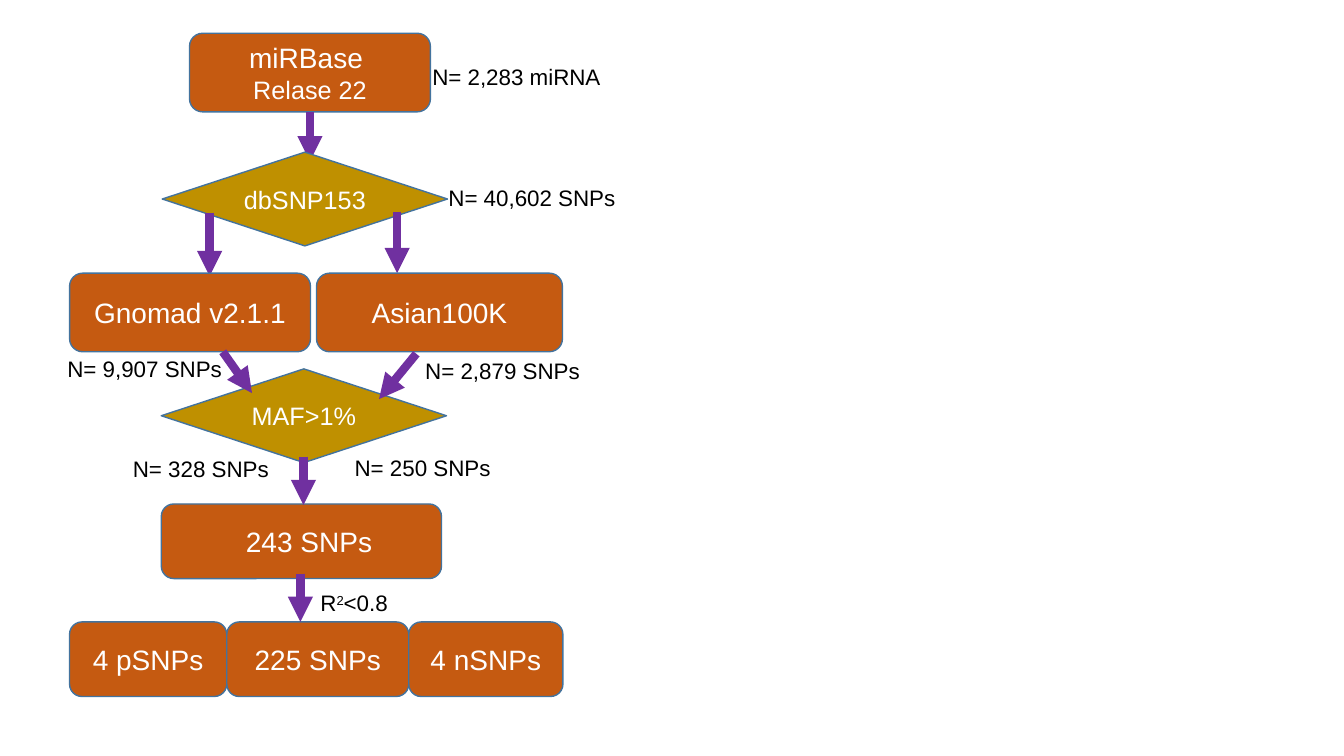
from pptx import Presentation
from pptx.dml.color import RGBColor
from pptx.enum.shapes import MSO_CONNECTOR, MSO_SHAPE
from pptx.enum.text import MSO_ANCHOR, MSO_AUTO_SIZE, PP_ALIGN
from pptx.oxml.ns import qn
from pptx.util import Inches, Pt
from lxml.etree import SubElement

CELL = Inches(0.1)
LEFT_COLUMN = 6.9
DATABASE_HEIGHT, RESULT_HEIGHT = 7.8, 7.4
DIAMOND_WIDTH, DIAMOND_HEIGHT = 28.3, 9.3
DATABASE_ROW, RESULT_ROW = 27.1, 61.7


def color(value):
    return RGBColor.from_string(value)


def cells(*counts):
    return [round(count * CELL) for count in counts]


presentation = Presentation()
presentation.slide_width, presentation.slide_height = cells(133.33, 75)
slide = presentation.slides.add_slide(presentation.slide_layouts[6])

styles = {
    "box": (MSO_SHAPE.ROUNDED_RECTANGLE, "C55A11", 20),
    "decision": (MSO_SHAPE.DIAMOND, "BF9000", 18),
}

flow = [
    ("box", "miRBase \nRelase 22", 18.8, 3.3, 23.9, DATABASE_HEIGHT),
    ("arrow", "miRBase \nRelase 22", 30.75, 11.1, 30.75, 16),
    ("decision", "dbSNP153", 16.1, 15.1, DIAMOND_WIDTH, DIAMOND_HEIGHT),
    ("arrow", "", 20.8, 21.1, 20.8, 27.4),
    ("arrow", "", 39.4, 21, 39.4, DATABASE_ROW),
    ("box", "Gnomad v2.1.1", LEFT_COLUMN, DATABASE_ROW, 23.9, DATABASE_HEIGHT),
    ("box", "Asian100K", 31.4, DATABASE_ROW, 24.4, DATABASE_HEIGHT),
    ("box", "243 SNPs", 16, 50, 27.8, RESULT_HEIGHT),
    ("decision", "MAF>1%", 16, 36.6, DIAMOND_WIDTH, DIAMOND_HEIGHT),
    ("arrow", "", 22.1, 34.9, 25, 39),
    ("arrow", "", 41.3, 35.1, 37.6, 39.6),
    ("arrow", "", 30.1, 45.3, 30.1, 50.1),
]
column = LEFT_COLUMN
for name, width in [("4 pSNPs", 15.6), ("225 SNPs", 18.05), ("4 nSNPs", 15.3)]:
    flow.append(("box", name, column, RESULT_ROW, width, RESULT_HEIGHT))
    column += width
flow.append(("arrow", "", 29.8, 56.9, 29.8, RESULT_ROW))

shapes = {}
for kind, name, *place in flow:
    if kind == "arrow":
        arrow = slide.shapes.add_connector(MSO_CONNECTOR.STRAIGHT, *cells(*place))
        if name:
            arrow.begin_connect(shapes[name], 2)
        arrow.line.color.rgb = color("7030A0")
        arrow.line.width = Pt(6)
        SubElement(arrow.line._get_or_add_ln(), qn("a:tailEnd"), type="triangle")
        SubElement(arrow._element.spPr, qn("a:effectLst"))
        continue
    preset, fill, size = styles[kind]
    shape = slide.shapes.add_shape(preset, *cells(*place))
    shapes[name] = shape
    shape.shadow.inherit = False
    shape.fill.solid()
    shape.fill.fore_color.rgb = color(fill)
    shape.line.color.rgb = color("43739E")
    shape.line.width = Pt(1)
    shape.text_frame.text = name
    shape.text_frame.vertical_anchor = MSO_ANCHOR.MIDDLE
    for paragraph in shape.text_frame.paragraphs:
        paragraph.alignment = PP_ALIGN.CENTER
        paragraph.font.name = "Arial"
        paragraph.font.size = Pt(size)
        paragraph.font.color.rgb = color("FFFFFF")

shapes["miRBase \nRelase 22"].text_frame.paragraphs[1].font.size = Pt(18)
shapes["243 SNPs"].text_frame.margin_left = Inches(0.25)

labels = [
    (["N= 2,283 miRNA"], 41.9, 5.8, 18.9),
    (["N= 328 SNPs"], 12.2, 44.7, 15.7),
    (["N= 250 SNPs"], 34.2, 44.6, 15.7),
    (["N= 40,602 SNPs"], 43.5, 17.8, 18.8),
    (["N= 9,907 SNPs"], 5.7, 34.7, 17.5),
    (["N= 2,879 SNPs"], 41.2, 34.9, 17.5),
    (["R", "2", "<0.8"], 30.8, 58, 8.9),
]
for parts, column, row, width in labels:
    label = slide.shapes.add_textbox(*cells(column, row, width, 3.7))
    label.text_frame.word_wrap = False
    label.text_frame.auto_size = MSO_AUTO_SIZE.SHAPE_TO_FIT_TEXT
    paragraph = label.text_frame.paragraphs[0]
    for index, part in enumerate(parts):
        run = paragraph.add_run()
        run.text = part
        run.font.name = "Arial"
        run.font.size = Pt(16)
        run.font.color.rgb = color("000000")
        if index == 1:
            run.font._element.set("baseline", "30000")

presentation.save("out.pptx")
